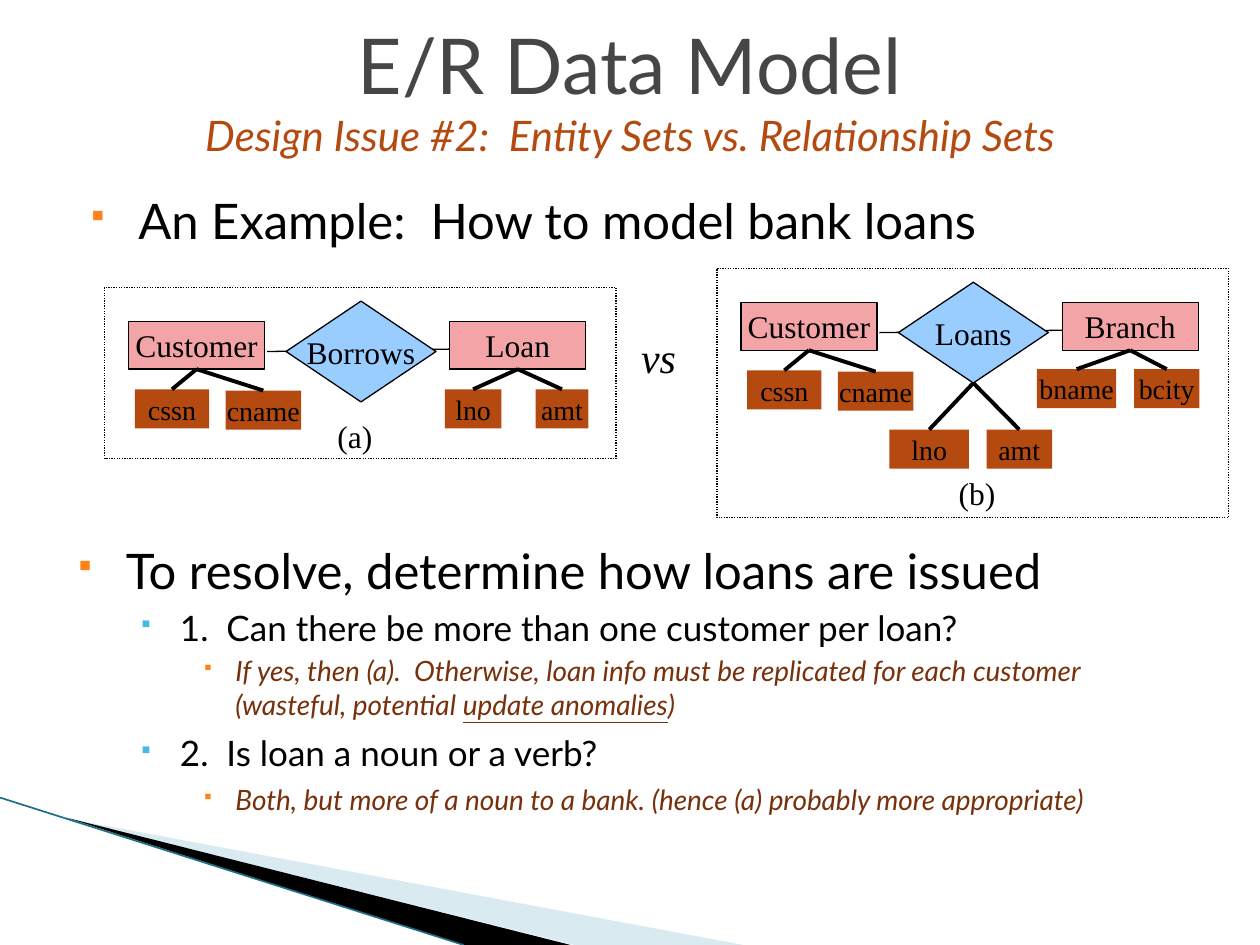
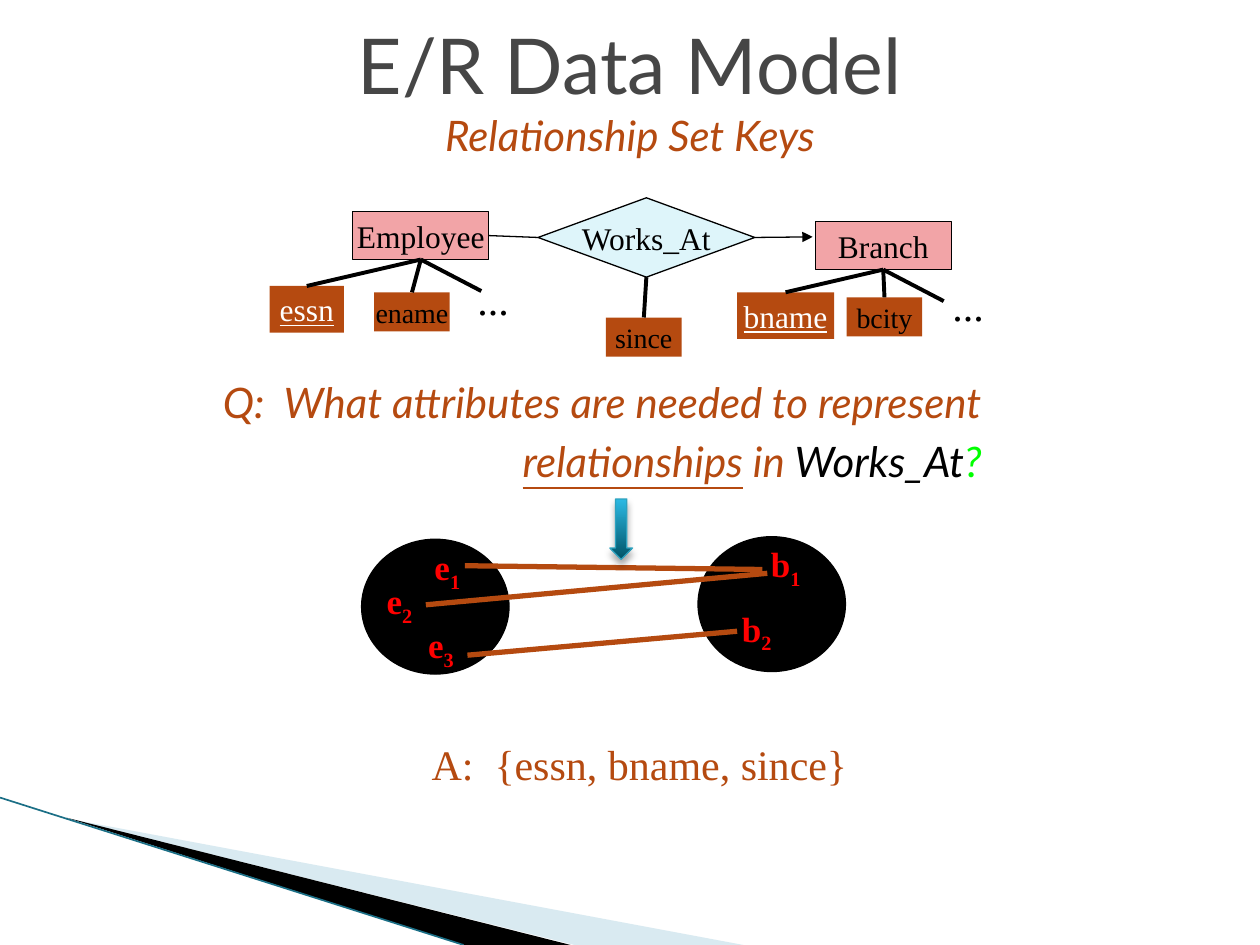
"""Build two slides on the E/R data model: design issue and relationship set keys."""
from lxml import etree
from pptx import Presentation
from pptx.dml.color import RGBColor
from pptx.enum import dml, shapes, text
from pptx.oxml import ns
from pptx.util import Inches, Pt

BLACK = RGBColor(0, 0, 0)
WHITE = RGBColor(255, 255, 255)
GREY = RGBColor(0x46, 0x46, 0x46)
RUST = RGBColor(0xB5, 0x4A, 0x10)
BROWN = RGBColor(0x78, 0x31, 0x0B)
PINK = RGBColor(0xF2, 0xA4, 0xA7)
BLUE = RGBColor(0x99, 0xCC, 0xFF)
PALE_BLUE = RGBColor(0xDE, 0xF5, 0xFA)
RED = RGBColor(255, 0, 0)
GREEN = RGBColor(0, 255, 0)
ORANGE = RGBColor(0xFF, 0x81, 0x19)
SKY = RGBColor(0x44, 0xB9, 0xE8)
BAND_BLUE = RGBColor(0xA0, 0xCB, 0xDC)
BAND_EDGE = RGBColor(0x1B, 0x6F, 0x86)
ARROW_EDGE = RGBColor(0x2D, 0xA2, 0xBF)
ARROW_DARK = RGBColor(0, 0x53, 0x67)
ARROW_LIGHT = RGBColor(0x2C, 0xB9, 0xE3)
SANS, SERIF = "Lato", "Times New Roman"

TITLE = "E/R Data Model"
ISSUE_SUBTITLE = "Design Issue #2:  Entity Sets vs. Relationship Sets"
KEYS_SUBTITLE = "Relationship Set Keys"

ENTITY_WIDTH, ENTITY_HEIGHT = 1.08, 0.38
ATTRIBUTE_HEIGHT, KEY_HEIGHT = 0.31, 0.37

LEVELS = [
    dict(left=0.38, hanging=0.38, bullet=ORANGE, size=28, color=BLACK, italic=False),
    dict(left=0.81, hanging=0.31, bullet=SKY, size=20, color=BLACK, italic=False),
    dict(left=1.25, hanging=0.25, bullet=ORANGE, size=16, color=BROWN, italic=True),
]
EXAMPLE = [(0, 1, ["An Example:  How to model bank loans"])]
RESOLUTION = [
    (0, 1, ["To resolve, determine how loans are issued"]),
    (1, 1, ["1.  Can there be more than one customer per loan?"]),
    (2, 1, ["If yes, then (a).  Otherwise, loan info must be replicated for each "
            "customer (wasteful, potential ", "update anomalies", ")"]),
    (1, 1.1, ["2.  Is loan a noun or a verb?"]),
    (2, 1.1, ["Both, but more of a noun to a bank. (hence (a) probably more appropriate)"]),
]

# Positions in a model are measured from the corner of its frame.
CUSTOMER_ATTRIBUTES = [("cssn", 0.24, 0.81, 0.59), ("cname", 0.96, 0.82, 0.6)]
MODELS = [
    dict(frame=(0.83, 2.28, 4.06, 1.36), relationship="Borrows", entity="Loan",
         attributes=[("lno", 2.7, 0.81, 0.45), ("amt", 3.42, 0.81, 0.42)],
         relationship_attributes=[], label=("(a)", 1.75, 0.98)),
    dict(frame=(5.69, 2.13, 4.06, 1.98), relationship="Loans", entity="Branch",
         attributes=[("bname", 2.54, 0.8, 0.63), ("bcity", 3.31, 0.8, 0.52)],
         relationship_attributes=[("lno", 1.37, 1.28, 0.63), ("amt", 2.14, 1.28, 0.52)],
         label=("(b)", 1.82, 1.58)),
]

KEYED_ENTITIES = [
    dict(name="Employee", at=(2.8, 1.68), key=("essn", 2.14, 2.27, 0.59),
         attributes=[("ename", 2.97, 2.32, 0.6)], dots=(3.69, 2.12)),
    dict(name="Branch", at=(6.47, 1.76), key=("bname", 5.85, 2.32, 0.77),
         attributes=[("bcity", 6.72, 2.36, 0.6)], dots=(7.46, 2.17)),
]
SETS = [(2.87, 4.28), (5.54, 4.26)]
MEMBERS = [("e", "1", 3.35, 4.28), ("e", "2", 2.97, 4.55), ("e", "3", 3.3, 4.9),
           ("b", "1", 6.02, 4.26), ("b", "2", 5.79, 4.77)]
PAIRS = [((3.69, 4.49), (6.05, 4.52)), ((3.38, 4.8), (6.09, 4.55)),
         ((3.71, 5.2), (5.85, 5.01))]


def add_element(parent, tag, **attributes):
    """Append a drawing element with the given attributes."""
    return etree.SubElement(parent, ns.qn(tag), attributes)


def add_run(paragraph, words, size=18, font=SERIF, color=BLACK, bold=False,
            italic=False, underline=False, baseline=None):
    """Add formatted words to a paragraph."""
    run = paragraph.add_run()
    run.text = words
    run.font.size = Pt(size)
    run.font.name = font
    run.font.color.rgb = color
    run.font.bold = bold
    run.font.italic = italic
    run.font.underline = underline
    if baseline:
        run._r.get_or_add_rPr().set("baseline", str(baseline))


def add_box(slide, left, top, width, height, wrap=False):
    """Add a text box and return its text frame."""
    frame = slide.shapes.add_textbox(*map(Inches, (left, top, width, height))).text_frame
    frame.word_wrap = wrap
    return frame


def add_label(slide, words, left, top, width=0.6, height=0.5, **style):
    """Add a one-line text box."""
    paragraph = add_box(slide, left, top, width, height, wrap=True).paragraphs[0]
    add_run(paragraph, words, **style)
    return paragraph


def add_block(slide, kind, left, top, width, height, fill=None, outline=None,
              words="", **style):
    """Add a preset shape with centred text."""
    shape = slide.shapes.add_shape(kind, *map(Inches, (left, top, width, height)))
    shape.shadow.inherit = False
    if fill is None:
        shape.fill.background()
    else:
        shape.fill.solid()
        shape.fill.fore_color.rgb = fill
    if outline is None:
        shape.line.fill.background()
    else:
        shape.line.color.rgb = outline
        shape.line.width = Pt(0.75)
    if words:
        frame = shape.text_frame
        frame.word_wrap = False
        frame.vertical_anchor = text.MSO_ANCHOR.MIDDLE
        frame.paragraphs[0].alignment = text.PP_ALIGN.CENTER
        add_run(frame.paragraphs[0], words, **style)
    return shape


def add_line(slide, start, end, color=BLACK, width=2.25, arrow=False):
    """Draw a line between ends that are points or (shape, site) pairs."""
    connector = slide.shapes.add_connector(shapes.MSO_CONNECTOR.STRAIGHT, 0, 0, 0, 0)
    if isinstance(start[0], (int, float)):
        connector.begin_x, connector.begin_y = map(Inches, start)
    else:
        connector.begin_connect(*start)
    if isinstance(end[0], (int, float)):
        connector.end_x, connector.end_y = map(Inches, end)
    else:
        connector.end_connect(*end)
    connector.line.color.rgb = color
    connector.line.width = Pt(width)
    if arrow:
        add_element(connector.line._get_or_add_ln(), "a:tailEnd", type="triangle")
    add_element(connector._element.spPr, "a:effectLst")


def add_band(slide, points, color, alpha=None):
    """Draw one filled wedge of the corner decoration."""
    corners = [tuple(map(Inches, point)) for point in points]
    builder = slide.shapes.build_freeform(*corners[0])
    builder.add_line_segments(corners[1:])
    band = builder.convert_to_shape()
    band.shadow.inherit = False
    band.fill.solid()
    band.fill.fore_color.rgb = color
    band.line.fill.background()
    if alpha:
        solid = band._element.spPr.find(ns.qn("a:solidFill"))
        add_element(solid[0], "a:alpha", val=str(alpha))


def start_slide(presentation, subtitle):
    """Add a slide with the shared corner bands and title."""
    slide = presentation.slides.add_slide(presentation.slide_layouts[5])
    add_band(slide, [(0.55, 6.5), (5.9, 7.5), (4.56, 7.5)], BAND_BLUE, 40000)
    add_band(slide, [(0.53, 6.49), (4.53, 7.5), (3.68, 7.5)], BLACK)
    add_line(slide, (0, 6.33), (3.68, 7.5), BAND_EDGE, 0.95)
    title = slide.shapes.title
    title.left, title.top, title.width, title.height = map(Inches, (0, 0.08, 10, 1.25))
    frame = title.text_frame
    frame.auto_size = text.MSO_AUTO_SIZE.NONE
    frame.vertical_anchor = text.MSO_ANCHOR.MIDDLE
    paragraph = frame.paragraphs[0]
    paragraph.alignment = text.PP_ALIGN.CENTER
    add_run(paragraph, TITLE, size=44, font=SANS, color=GREY)
    paragraph.add_line_break()
    add_run(paragraph, subtitle, size=24, font=SANS, color=RUST, italic=True)
    return slide


def add_bullets(slide, items, left, top, width, height):
    """Add bulleted paragraphs; the second part of an item is underlined."""
    frame = add_box(slide, left, top, width, height, wrap=True)
    for index, (depth, spacing, parts) in enumerate(items):
        level = LEVELS[depth]
        paragraph = frame.add_paragraph() if index else frame.paragraphs[0]
        paragraph.level = depth
        properties = paragraph._p.get_or_add_pPr()
        properties.set("marL", str(Inches(level["left"])))
        properties.set("indent", str(-Inches(level["hanging"])))
        color = add_element(properties, "a:buClr")
        add_element(color, "a:srgbClr", val=str(level["bullet"]))
        add_element(properties, "a:buSzPct", val="65000")
        add_element(properties, "a:buFont", typeface="Wingdings", charset="2")
        add_element(properties, "a:buChar", char="§")
        paragraph.line_spacing = float(spacing)
        if index:
            paragraph.space_before = Pt(round(level["size"] * 0.2))
        for position, part in enumerate(parts):
            add_run(paragraph, part, size=level["size"], font=SANS, color=level["color"],
                    italic=level["italic"], underline=position == 1)


def add_entity(slide, name, left, top):
    """Add an entity rectangle."""
    return add_block(slide, shapes.MSO_SHAPE.RECTANGLE, left, top, ENTITY_WIDTH,
                     ENTITY_HEIGHT, PINK, BLACK, name)


def add_attributes(slide, owner, attributes, origin=(0, 0), key=False):
    """Add attribute rectangles, each joined to the bottom of its owner."""
    style = dict(color=WHITE, underline=True) if key else dict(size=16)
    height = KEY_HEIGHT if key else ATTRIBUTE_HEIGHT
    for name, left, top, width in attributes:
        attribute = add_block(slide, shapes.MSO_SHAPE.RECTANGLE, origin[0] + left,
                              origin[1] + top, width, height, RUST, None, name, **style)
        add_line(slide, (owner, 2), (attribute, 0))


def add_model(slide, model):
    """Draw one framed way to model bank loans."""
    left, top = origin = model["frame"][:2]
    frame = add_block(slide, shapes.MSO_SHAPE.RECTANGLE, *model["frame"], None, BLACK)
    frame.line.dash_style = dml.MSO_LINE.ROUND_DOT
    customer = add_entity(slide, "Customer", left + 0.19, top + 0.27)
    add_attributes(slide, customer, CUSTOMER_ATTRIBUTES, origin)
    add_line(slide, (left + 1.29, top + 0.51), (left + 2.83, top + 0.49), width=0.75)
    relationship = add_block(slide, shapes.MSO_SHAPE.DIAMOND, left + 1.44, top + 0.11,
                             1.19, 0.8, BLUE, BLACK, model["relationship"])
    entity = add_entity(slide, model["entity"], left + 2.74, top + 0.27)
    add_attributes(slide, entity, model["attributes"], origin)
    add_attributes(slide, relationship, model["relationship_attributes"], origin)
    words, x, y = model["label"]
    add_label(slide, words, left + x, top + y, height=0.4)


def add_issue_slide(presentation):
    """Compare the two models of bank loans."""
    slide = start_slide(presentation, ISSUE_SUBTITLE)
    add_bullets(slide, EXAMPLE, 0.62, 1.46, 8.71, 0.69)
    for model in MODELS:
        add_model(slide, model)
    add_label(slide, "vs", 4.99, 2.58, size=24, italic=True)
    add_bullets(slide, RESOLUTION, 0.52, 4.24, 8.71, 2.4)


def add_question(slide):
    """Ask which attributes represent the relationships."""
    style = dict(size=24, font=SANS, italic=True)
    frame = add_box(slide, 1.67, 2.94, 7.83, 1, wrap=True)
    add_run(frame.paragraphs[0], "Q:  What attributes are needed to represent",
            color=RUST, **style)
    paragraph = frame.add_paragraph()
    paragraph._p.get_or_add_pPr().set("marL", str(Inches(2.38)))
    paragraph.space_before = Pt(5)
    add_run(paragraph, "relationships", color=RUST, underline=True, **style)
    for words, color in [(" in ", RUST), ("Works_At", BLACK), ("?", GREEN)]:
        add_run(paragraph, words, color=color, **style)


def add_down_arrow(slide):
    """Draw the shaded arrow from the question to the sets."""
    arrow = add_block(slide, shapes.MSO_SHAPE.DOWN_ARROW, 4.84, 3.96, 0.18, 0.48,
                      RUST, ARROW_EDGE)
    arrow.fill.gradient()
    arrow.fill.gradient_angle = 90
    for stop, color in zip(arrow.fill.gradient_stops, (ARROW_DARK, ARROW_LIGHT)):
        stop.color.rgb = color
    effects = arrow._element.spPr.find(ns.qn("a:effectLst"))
    shadow = add_element(effects, "a:outerShdw", blurRad=str(Pt(4)), dist=str(Pt(3)),
                         dir="5400000", rotWithShape="0")
    add_element(add_element(shadow, "a:srgbClr", val="000000"), "a:alpha", val="35000")


def add_keys_slide(presentation):
    """Show the keys that identify a relationship set."""
    slide = start_slide(presentation, KEYS_SUBTITLE)
    works_at = add_block(slide, shapes.MSO_SHAPE.DIAMOND, 4.27, 1.57, 1.72, 0.63,
                         PALE_BLUE, BLACK, "Works_At")
    add_attributes(slide, works_at, [("since", 4.81, 2.52, 0.6)])
    entities = []
    for item in KEYED_ENTITIES:
        left, top = item["at"]
        entity = add_entity(slide, item["name"], left, top)
        entities.append(entity)
        add_attributes(slide, entity, [item["key"]], key=True)
        add_attributes(slide, entity, item["attributes"])
        add_line(slide, (entity, 2), (left + 1.02, top + 0.63))
        add_label(slide, "...", *item["dots"], size=24)
    add_line(slide, (entities[0], 3), (works_at, 1), width=0.75)
    add_line(slide, (works_at, 3), (6.45, 1.88), width=0.75, arrow=True)
    add_question(slide)
    for left, top in SETS:
        add_block(slide, shapes.MSO_SHAPE.OVAL, left, top, 1.17, 1.07, BLACK, BLACK)
    for letter, number, left, top in MEMBERS:
        style = dict(size=20, color=RED, bold=True)
        paragraph = add_label(slide, letter, left, top, height=0.43, **style)
        add_run(paragraph, number, baseline=-25000, **style)
    for start, end in PAIRS:
        add_line(slide, start, end, RUST, 3)
    answer = add_label(slide, "A:  {essn, bname, since}", 3.3, 5.81, 3.55, size=24, color=RUST)
    answer.alignment = text.PP_ALIGN.CENTER
    add_down_arrow(slide)


def main():
    """Build and save the presentation."""
    presentation = Presentation()
    presentation.slide_width, presentation.slide_height = Inches(10), Inches(7.5)
    add_issue_slide(presentation)
    add_keys_slide(presentation)
    presentation.save("out.pptx")


if __name__ == "__main__":
    main()
